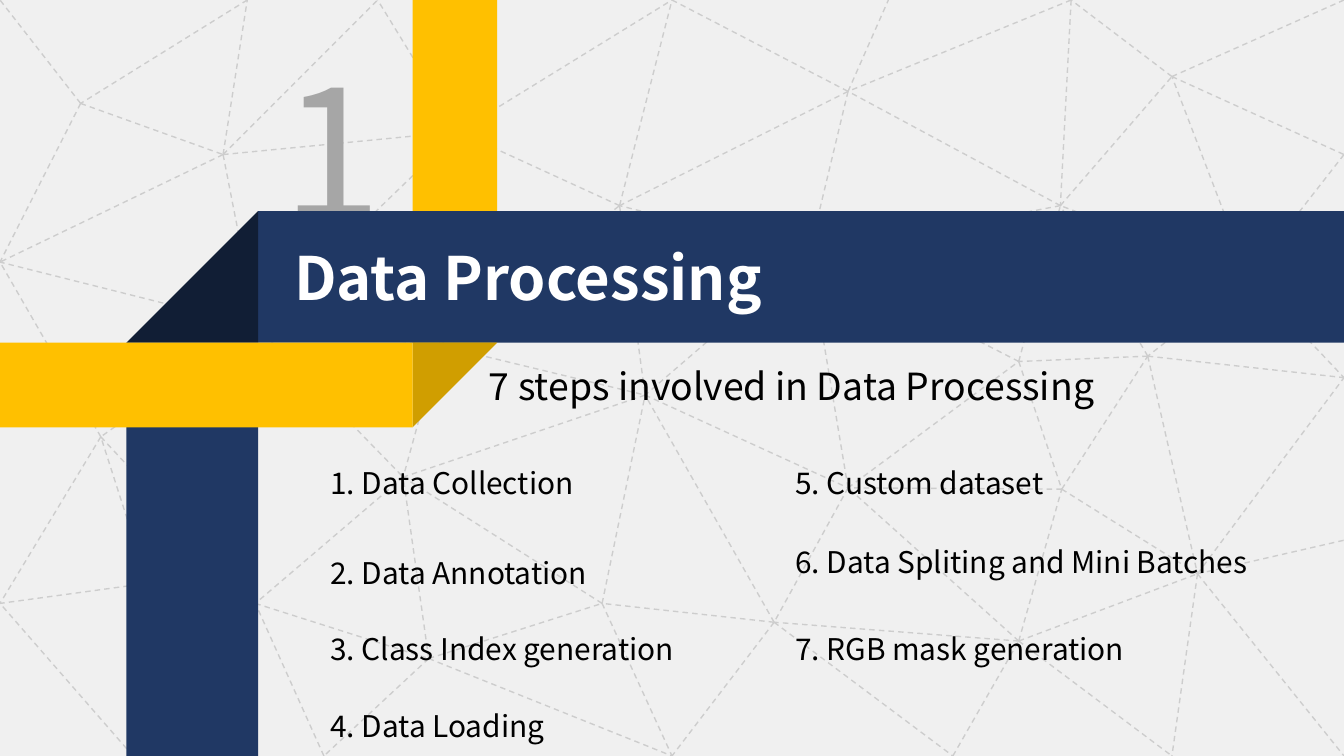
from collections import namedtuple
from lxml.etree import SubElement
from pptx import Presentation
from pptx.dml.color import RGBColor as Rgb
from pptx.enum.dml import MSO_LINE_DASH_STYLE as Dash
from pptx.enum.shapes import MSO_CONNECTOR as Conn, MSO_SHAPE as Kind
from pptx.enum.text import MSO_AUTO_SIZE as Fit, PP_ALIGN as Align
from pptx.oxml.ns import qn
from pptx.util import Inches, Pt

Box = namedtuple("Box", "x y w h")
COLS, ROWS = 100, 56.25
FONT = "Noto Sans CJK SC"
NAVY, GOLD = "203864", "FFC000"

NODES = {
    "a": (0, 0), "b": (18.4, 0), "c": (28.1, 0), "d": (50, 0),
    "e": (66.1, 0), "f": (79.7, 0), "g": (100, 0), "h": (6, 7.7),
    "i": (16.6, 11.5), "j": (34.1, 9.8), "k": (63.1, 6.8), "l": (87.2, 5.7),
    "m": (100, 11.5), "n": (0, 19.5), "o": (19.1, 24.3), "p": (32.7, 25.7),
    "q": (46.1, 15.3), "r": (60.2, 18.9), "s": (78.9, 15.3), "t": (92.9, 20.6),
    "u": (7.5, 32.5), "v": (30, 35.5), "w": (48, 29.4), "x": (63.1, 36.3),
    "y": (75.8, 26.9), "z": (85.4, 26.5), "A": (100, 28.1), "B": (79, 36.4),
    "C": (0, 44.9), "D": (11, 43.4), "E": (19, 44.9), "F": (31.9, 49),
    "G": (44.8, 44.9), "H": (57.6, 46.3), "I": (75.8, 47.7), "J": (89.1, 42.7),
    "K": (100, 40.2), "L": (9.9, ROWS), "M": (24.1, ROWS), "N": (50, ROWS),
    "O": (70.9, ROWS), "P": (87.2, ROWS), "Q": (100, ROWS),
}
EDGES = {
    "i": "bncjo", "o": "jnpvEu", "p": "vwjq", "v": "E", "u": "EnC",
    "D": "CuEL", "E": "LF", "L": "C", "F": "vMGN", "M": "E", "G": "Nvw",
    "w": "vx", "q": "wjd", "j": "cd", "d": "k", "k": "qre", "r": "qw",
    "x": "rHy", "H": "GNOw", "s": "krl", "y": "sBr", "B": "xJz",
    "I": "xHBPJ", "O": "I", "z": "sAyJ", "l": "fgm", "m": "t", "t": "lszA",
    "J": "AQPK", "f": "sk", "b": "h", "h": "ina",
}
STEPS = [
    [("1. Data Collection", 0, 20.8, 3.7), ("2. Data Annotation", 6.7, 22.1, 3.7),
     ("3. Class Index generation", 12.3, 28.6, 3.7), ("4. Data Loading", 18.1, 18.7, 3.7)],
    [("5. Custom dataset", 0, 21.2, 3.7),
     ("6. Data Spliting and Mini Batches", 5.9, 37.1, 6.4),
     ("7. RGB mask generation", 12.3, 27.4, 3.7)],
]


def tint(code):
    """Turn a hex string into a colour."""
    return Rgb.from_string(code)


def grid(*units):
    """Turn columns or rows into slide lengths."""
    return [Inches(unit / 10) for unit in units]


def block(slide, box, fill, kind=Kind.RECTANGLE, turn=0):
    """Place a flat filled shape."""
    shape = slide.shapes.add_shape(kind, *grid(*box))
    shape.shadow.inherit = False
    shape.fill.solid()
    shape.fill.fore_color.rgb = tint(fill)
    shape.line.fill.background()
    shape.rotation = turn


def label(slide, box, text, size, color="000000", bold=False, align=Align.LEFT):
    """Place one line of text."""
    frame = slide.shapes.add_textbox(*grid(*box)).text_frame
    frame.word_wrap = False
    frame.auto_size = Fit.SHAPE_TO_FIT_TEXT
    para = frame.paragraphs[0]
    para.text = text
    para.alignment = align
    font = para.font
    font.name, font.size, font.bold = FONT, Pt(size), bold
    font.color.rgb = tint(color)


def mesh(slide, box):
    """Draw the dashed web behind everything."""
    for start, ends in EDGES.items():
        for end in ends:
            (x1, y1), (x2, y2) = NODES[start], NODES[end]
            edge = slide.shapes.add_connector(Conn.STRAIGHT, *grid(
                box.x + x1, box.y + y1, box.x + x2, box.y + y2))
            edge.line.color.rgb = tint("CDCDCD")
            edge.line.width = Pt(0.75)
            edge.line.dash_style = Dash.DASH
            SubElement(edge.line._get_or_add_ln().getparent(), qn("a:effectLst"))


def post(slide, box):
    """Draw the gold post with the chapter number at its left."""
    block(slide, box, GOLD)
    label(slide, Box(box.x - 10.7, box.y + 2.5, 9.9, 17.2), "1", 96, "A6A6A6")


def banner(slide, box, thick):
    """Draw the folded navy band with the title."""
    x, y, w, h = box
    block(slide, Box(x, y + thick, thick, h - thick), NAVY)
    block(slide, Box(x + thick, y, w - thick, thick), NAVY)
    block(slide, Box(x, y, thick, thick), "111E35", Kind.RIGHT_TRIANGLE, 270)
    label(slide, Box(x + 10.9, y + 1.7, 38, 6.4), "Data Processing", 32,
          "FFFFFF", True, Align.CENTER)


def strip(slide, box):
    """Draw the gold strip with its fold and the subtitle."""
    x, y, w, h = box
    block(slide, Box(x + w - h, y, h, h), "D09E00", Kind.RIGHT_TRIANGLE, 90)
    block(slide, Box(x, y, w - h, h), GOLD)
    label(slide, Box(x + w - 1.6, y + 1, 48.7, 4.4),
          "7 steps involved in Data Processing", 20)


def steps(slide, box):
    """List the steps in two columns."""
    for col, items in enumerate(STEPS):
        for text, row, wide, high in items:
            spot = Box(box.x + col * box.w / 2, box.y + row, wide, high)
            label(slide, spot, text, 16)


def main():
    """Build and save the slide."""
    deck = Presentation()
    deck.slide_width, deck.slide_height = grid(COLS, ROWS)
    slide = deck.slides.add_slide(deck.slide_layouts[6])
    back = slide.background.fill
    back.solid()
    back.fore_color.rgb = tint("F0F0F0")
    mesh(slide, Box(0, 0, COLS, ROWS))
    post(slide, Box(30.7, 0, 6.3, 25.5))
    banner(slide, Box(9.4, 15.7, COLS - 9.4, ROWS - 15.7), 9.8)
    strip(slide, Box(0, 25.5, 37, 6.3))
    steps(slide, Box(23.6, 34.1, 69.2, 21.8))
    deck.save("out.pptx")


if __name__ == "__main__":
    main()
